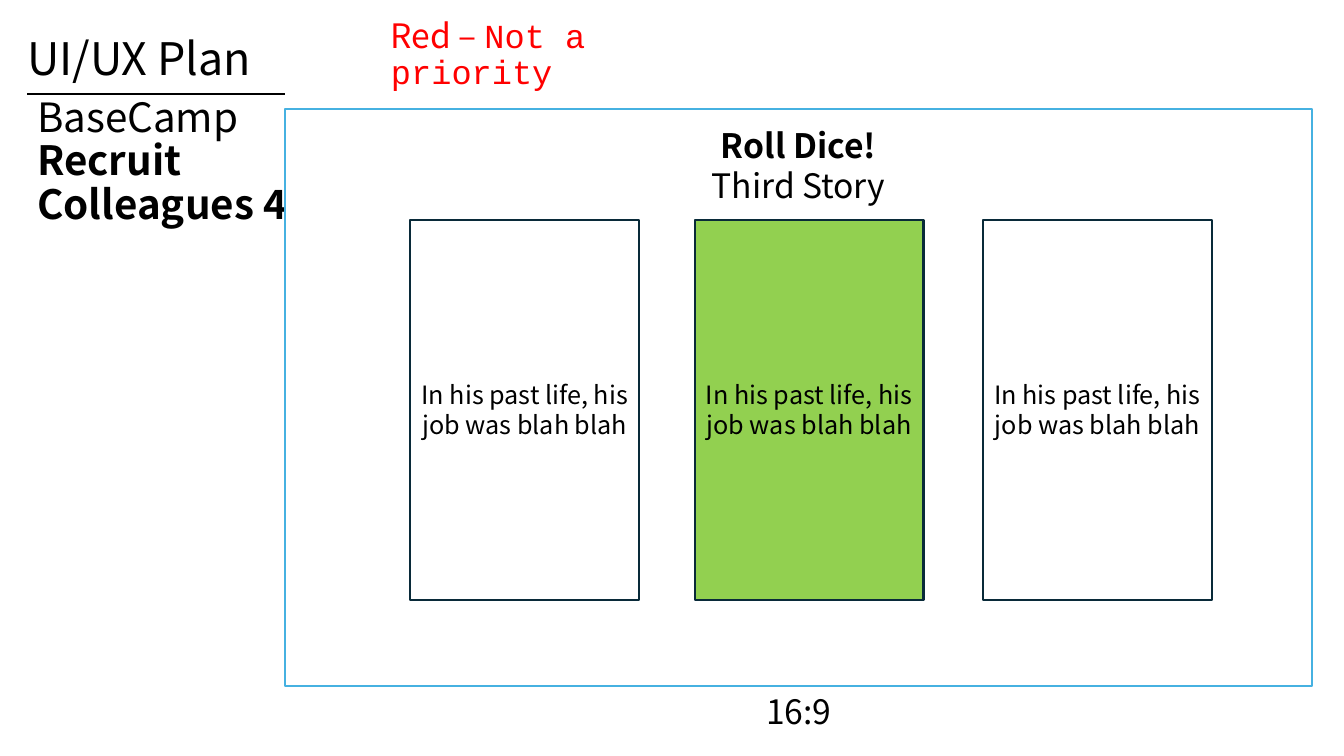
from dataclasses import dataclass

from lxml import etree
from pptx import Presentation
from pptx.dml.color import RGBColor
from pptx.enum.shapes import MSO_CONNECTOR, MSO_SHAPE
from pptx.enum.text import MSO_ANCHOR, PP_ALIGN
from pptx.oxml.ns import qn
from pptx.shapes.autoshape import Shape
from pptx.slide import Slide
from pptx.util import Inches, Pt

BLACK = RGBColor(0x00, 0x00, 0x00)
WHITE = RGBColor(0xFF, 0xFF, 0xFF)
RED = RGBColor(0xFF, 0x00, 0x00)
GREEN = RGBColor(0x92, 0xD0, 0x50)
SKY = RGBColor(0x46, 0xB1, 0xE1)
NAVY = RGBColor(0x09, 0x2A, 0x39)

LEFT, CENTER = PP_ALIGN.LEFT, PP_ALIGN.CENTER
TOP, MIDDLE = MSO_ANCHOR.TOP, MSO_ANCHOR.MIDDLE
RECTANGLE = MSO_SHAPE.RECTANGLE
STRAIGHT = MSO_CONNECTOR.STRAIGHT

SANS = "Noto Sans CJK KR"
MONO = "Courier New"
RULE_WIDTH = Pt(1.5)


@dataclass(frozen=True)
class Piece:
    text: str
    bold: bool = False
    font: str = SANS


@dataclass(frozen=True)
class Label:
    left: float
    top: float
    width: float
    height: float
    lines: tuple[tuple[Piece, ...], ...]
    size: float
    color: RGBColor = BLACK
    align: PP_ALIGN = LEFT
    anchor: MSO_ANCHOR = MIDDLE
    spacing: float = 0.9


@dataclass(frozen=True)
class Card:
    left: float
    fill: RGBColor


HEADING = Label(0.17, 0.13, 11.5, 0.96, ((Piece("UI/UX Plan"),),), 32)
SCREEN_NAME = Label(0.27, 0.93, 2.69, 1.37,
                    ((Piece("BaseCamp"),), (Piece("Recruit Colleagues 4", True),)), 28.8)
RATIO = Label(7.5, 6.68, 1.25, 0.8, ((Piece("16:9"),),), 24)
DICE_PROMPT = Label(6.34, 1.19, 3.16, 0.91,
                    ((Piece("Roll Dice!", True),), (Piece("Third Story"),)),
                    24, align=CENTER, anchor=TOP, spacing=1.0)
PRIORITY_KEY = Label(3.78, 0.15, 3.33, 0.8,
                     ((Piece("Red – "), Piece("Not a priority", font=MONO)),), 24, RED)

CARDS = (Card(4.07, WHITE), Card(6.89, GREEN), Card(9.75, WHITE))
CARD_TEXT = "In his past life, his job was blah blah"


def add_label(slide: Slide, label: Label) -> None:
    box = slide.shapes.add_textbox(Inches(label.left), Inches(label.top),
                                   Inches(label.width), Inches(label.height))
    frame = box.text_frame
    frame.word_wrap = True
    frame.vertical_anchor = label.anchor
    frame.text = "\n".join("" for _ in label.lines)
    for paragraph, pieces in zip(frame.paragraphs, label.lines):
        paragraph.alignment = label.align
        paragraph.line_spacing = label.spacing
        for piece in pieces:
            run = paragraph.add_run()
            run.text = piece.text
            run.font.name = piece.font
            run.font.size = Pt(label.size)
            run.font.bold = piece.bold
            run.font.color.rgb = label.color


def add_outline(slide: Slide, left: float, top: float, width: float,
                height: float, color: RGBColor) -> Shape:
    outline = slide.shapes.add_shape(RECTANGLE, Inches(left), Inches(top),
                                     Inches(width), Inches(height))
    outline.shadow.inherit = False
    outline.fill.background()
    outline.line.color.rgb = color
    outline.line.width = RULE_WIDTH
    return outline


def add_card(slide: Slide, card: Card) -> None:
    story = add_outline(slide, card.left, 2.18, 2.27, 3.77, NAVY)
    story.fill.solid()
    story.fill.fore_color.rgb = card.fill
    frame = story.text_frame
    frame.word_wrap = True
    frame.vertical_anchor = MIDDLE
    frame.text = CARD_TEXT
    paragraph = frame.paragraphs[0]
    paragraph.alignment = CENTER
    font = paragraph.runs[0].font
    font.name = SANS
    font.size = Pt(18)
    font.color.rgb = BLACK


def add_heading_rule(slide: Slide) -> None:
    rule = slide.shapes.add_connector(STRAIGHT, Inches(0.27), Inches(0.93),
                                      Inches(2.83), Inches(0.93))
    rule.line.color.rgb = BLACK
    rule.line.width = RULE_WIDTH
    etree.SubElement(rule._element.spPr, qn("a:effectLst"))


def main() -> None:
    deck = Presentation()
    deck.slide_width = Inches(13.33)
    deck.slide_height = Inches(7.5)
    slide = deck.slides.add_slide(deck.slide_layouts[6])
    add_label(slide, HEADING)
    add_heading_rule(slide)
    add_label(slide, SCREEN_NAME)
    add_outline(slide, 2.83, 1.08, 10.18, 5.73, SKY)
    add_label(slide, RATIO)
    add_label(slide, DICE_PROMPT)
    for card in CARDS:
        add_card(slide, card)
    add_label(slide, PRIORITY_KEY)
    deck.save("out.pptx")


if __name__ == "__main__":
    main()
